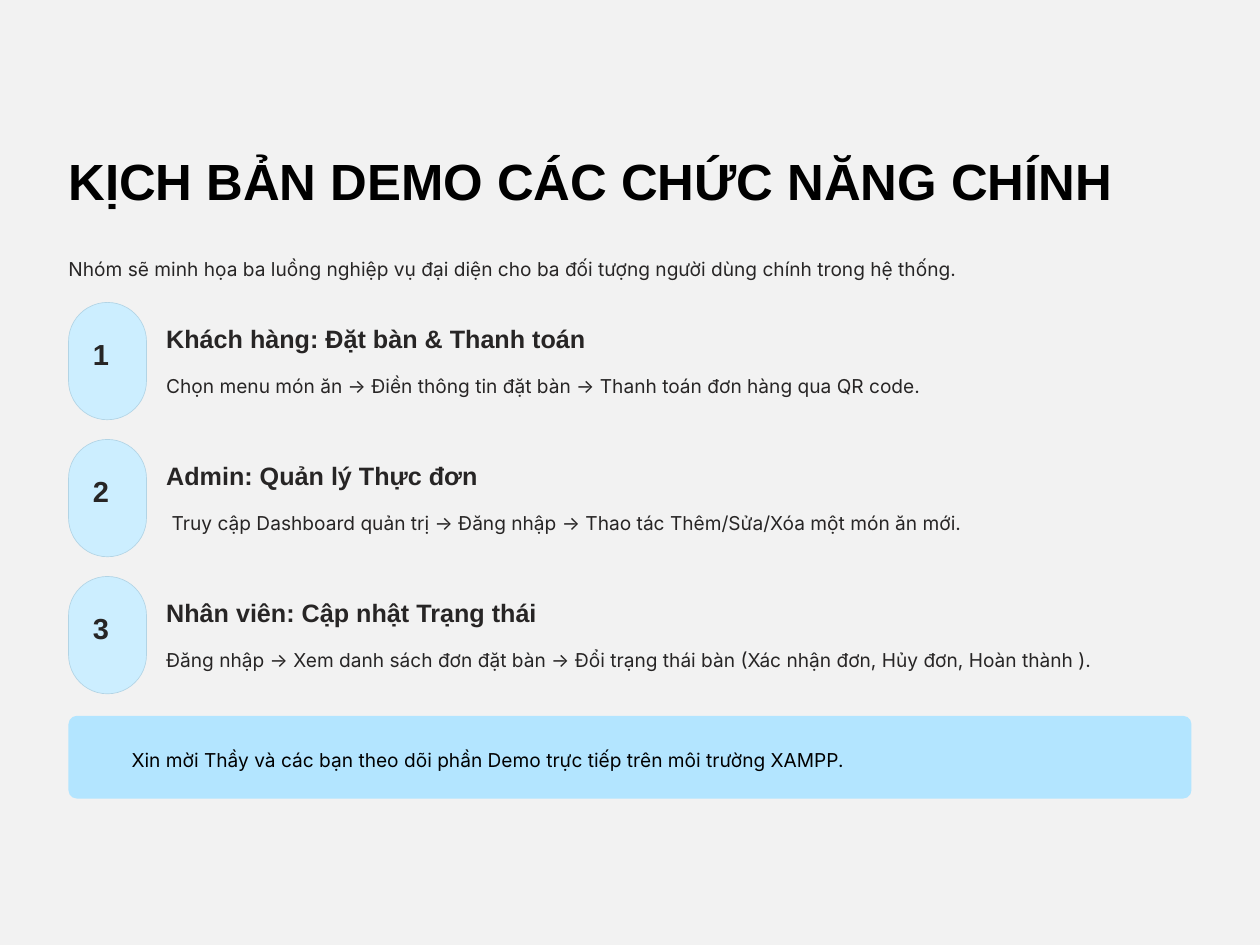
"""Builds the slide that outlines the demo of the main functions."""
from pptx import Presentation
from pptx.dml.color import RGBColor
from pptx.enum.shapes import MSO_SHAPE
from pptx.enum.text import MSO_ANCHOR, MSO_AUTO_SIZE, PP_ALIGN
from pptx.util import Inches, Pt

TITLE = "KỊCH BẢN DEMO CÁC CHỨC NĂNG CHÍNH"
INTRO = "Nhóm sẽ minh họa ba luồng nghiệp vụ đại diện cho ba đối tượng người dùng chính trong hệ thống."
STEPS = [
    ("Khách hàng: Đặt bàn & Thanh toán",
     "Chọn menu món ăn → Điền thông tin đặt bàn → Thanh toán đơn hàng qua QR code.", 0),
    ("Admin: Quản lý Thực đơn",
     "Truy cập Dashboard quản trị → Đăng nhập → Thao tác Thêm/Sửa/Xóa một món ăn mới.", 0.07),
    ("Nhân viên: Cập nhật Trạng thái",
     "Đăng nhập → Xem danh sách đơn đặt bàn → Đổi trạng thái bàn "
     "(Xác nhận đơn, Hủy đơn, Hoàn thành ).", 0),
]
INVITE = "Xin mời Thầy và các bạn theo dõi phần Demo trực tiếp trên môi trường XAMPP."

COLORS = {"page": "F2F2F2", "black": "000000", "ink": "272525",
          "pill": "CCEEFF", "edge": "B2D4E5", "banner": "B3E5FF"}
LEFT, WIDTH = 0.87, 14.26
TEXT_LEFT, TEXT_WIDTH = 2.11, 13.02
STEP_TOP, PITCH = 3.84, 1.74


def color(name):
    return RGBColor.from_string(COLORS[name])


def write(text, left, top, width, height, size=17.5, line=28.5, font="Inter",
          ink="ink", bold=False, indent=0, box=None):
    box = box or slide.shapes.add_textbox(0, 0, 0, 0)
    box.left, box.top = Inches(left), Inches(top)
    box.width, box.height = Inches(width), Inches(height)
    frame = box.text_frame
    frame.margin_left = Inches(indent)
    frame.margin_top = frame.margin_right = frame.margin_bottom = 0
    frame.vertical_anchor = MSO_ANCHOR.TOP
    frame.auto_size = MSO_AUTO_SIZE.NONE
    frame.word_wrap = False
    frame.text = text
    para = frame.paragraphs[0]
    para.alignment = PP_ALIGN.LEFT
    para.line_spacing = Pt(line)
    para.space_before = Pt(0)
    style = para.runs[0].font
    style.name, style.size, style.bold = font, Pt(size), bold
    style.color.rgb = color(ink)


def panel(left, top, width, height, fill, round_by, edge=None):
    shape = slide.shapes.add_shape(MSO_SHAPE.ROUNDED_RECTANGLE, Inches(left),
                                   Inches(top), Inches(width), Inches(height))
    shape.shadow.inherit = False
    shape.adjustments[0] = round_by
    shape.fill.solid()
    shape.fill.fore_color.rgb = color(fill)
    if edge:
        shape.line.color.rgb = color(edge)
        shape.line.width = Pt(0.6)
    else:
        shape.line.fill.background()


deck = Presentation()
deck.slide_width, deck.slide_height = Inches(16), Inches(12)
slide = deck.slides.add_slide(deck.slide_layouts[5])
slide.background.fill.solid()
slide.background.fill.fore_color.rgb = color("page")

write(TITLE, LEFT, 1.86, WIDTH, 0.81, size=46.5, line=58.5, font="Arial",
      ink="black", bold=True, box=slide.shapes.title)
write(INTRO, LEFT, 3.17, WIDTH, 0.4)

for i, (head, flow, indent) in enumerate(STEPS):
    top = STEP_TOP + i * PITCH
    panel(LEFT, top, 0.99, 1.49, "pill", 0.5, edge="edge")
    write(str(i + 1), 1.18, top + 0.51, 0.37, 0.47, size=26.5, line=26.5,
          font="Arial", bold=True)
    write(head, TEXT_LEFT, top + 0.25, TEXT_WIDTH, 0.41, size=23, line=29,
          font="Arial", bold=True)
    write(flow, TEXT_LEFT, top + 0.81, TEXT_WIDTH, 0.4, indent=indent)

panel(LEFT, 9.09, WIDTH, 1.05, "banner", 0.1)
write(INVITE, 1.67, 9.4, 13.21, 0.4, ink="black")

deck.save("out.pptx")
